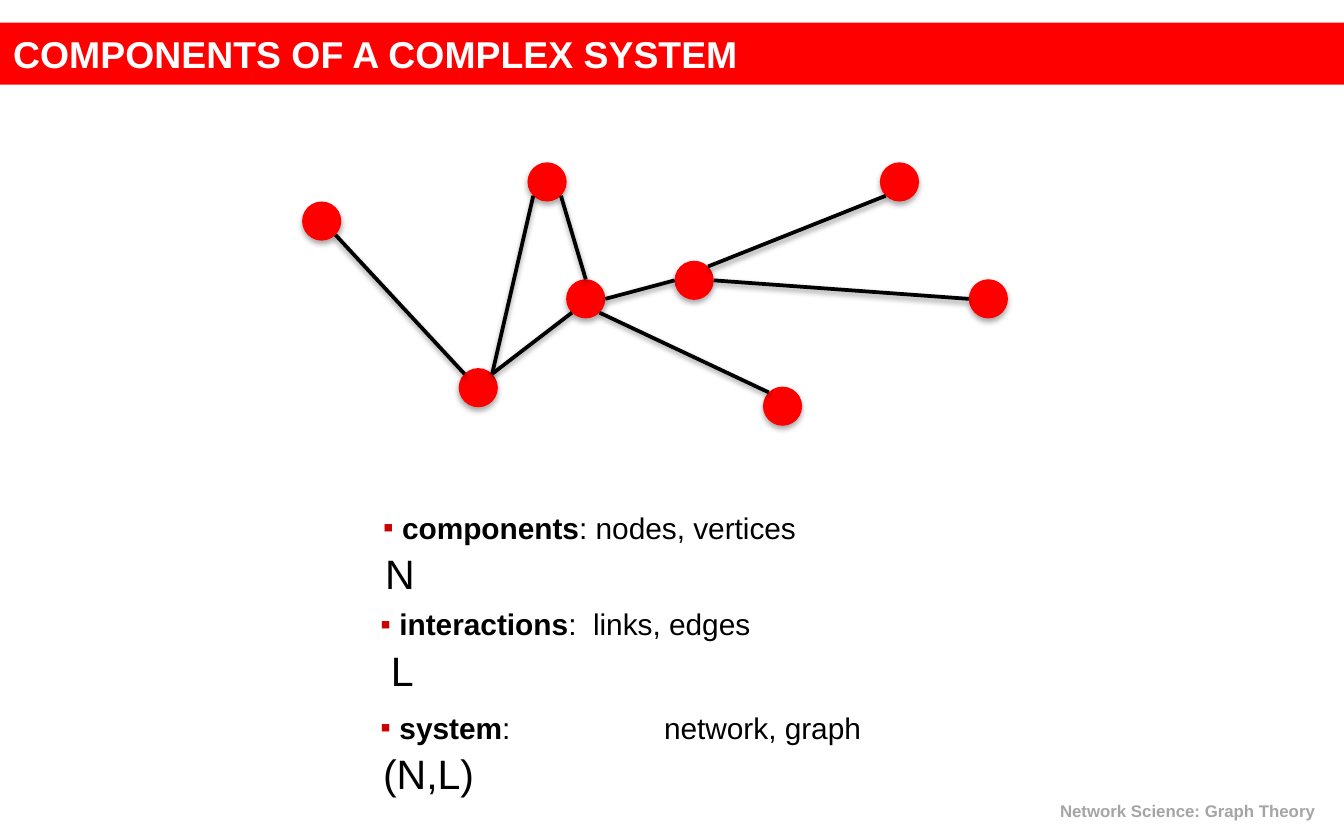
import math

from lxml import etree
from pptx import Presentation
from pptx import util as u
from pptx.dml.color import RGBColor
from pptx.enum import shapes, text
from pptx.oxml.ns import qn

FONT = "Arial"
RED = "FF0000"
BLACK = "000000"
WHITE = "FFFFFF"
DIAMETER = 0.74

# Centres of the graph's nodes, in cm
NODES = {
    "A": (6.08, 4.18),
    "B": (9.04, 7.33),
    "C": (10.34, 3.44),
    "D": (11.07, 5.65),
    "E": (13.12, 5.30),
    "F": (17.00, 3.44),
    "G": (18.68, 5.65),
    "H": (14.79, 7.68),
}

# Start node, clockwise angle on its rim, end node, angle on its rim
LINKS = [
    ("A", 45, "B", 225),
    ("B", 315, "D", 135),
    ("C", 45, "D", 270),
    ("C", 135, "B", 315),
    ("D", 0, "E", 180),
    ("E", 315, "F", 135),
    ("D", 45, "H", 225),
    ("E", 0, "G", 180),
]

# Left, top, term, its meaning, symbol, indent of the symbol, in cm
TERMS = [
    (7.24, 9.63, "components", ": nodes, vertices", "N", 0.04),
    (7.19, 11.46, "interactions", ":  links, edges", "L", 0.2),
    (7.19, 13.41, "system", ":\tnetwork, graph", "(N,L)", 0.05),
]


def color(value):
    return RGBColor.from_string(value)


def style(span, size, value, bold=False):
    span.font.name = FONT
    span.font.size = u.Pt(size)
    span.font.bold = bold
    span.font.color.rgb = color(value)


def add_child(parent, tag, **attributes):
    return etree.SubElement(parent, qn(tag), {k: str(v) for k, v in attributes.items()})


def add_shadow(shape, opacity, distance):
    """Give a shape or connector a soft shadow straight below it."""
    effects = add_child(shape._element.spPr, "a:effectLst")
    shadow = add_child(effects, "a:outerShdw", blurRad=u.Pt(3.1), dist=u.Pt(distance),
                       dir=5400000, rotWithShape=0)
    tint = add_child(shadow, "a:srgbClr", val=BLACK)
    add_child(tint, "a:alpha", val=opacity * 1000)


def add_title(page, title):
    bar = page.shapes.add_shape(shapes.MSO_SHAPE.RECTANGLE, 0, u.Cm(0.43), u.Cm(25.4), u.Cm(1.17))
    bar.shadow.inherit = False
    bar.fill.solid()
    bar.fill.fore_color.rgb = color(RED)
    bar.line.fill.background()
    frame = bar.text_frame
    frame.text = title
    frame.vertical_anchor = text.MSO_ANCHOR.MIDDLE
    frame.paragraphs[0].alignment = text.PP_ALIGN.LEFT
    style(frame.paragraphs[0].runs[0], 20, WHITE, bold=True)


def add_footer(page, footer):
    box = page.shapes.add_textbox(u.Cm(17.98), u.Cm(15.01), u.Cm(7.12), u.Cm(0.64))
    frame = box.text_frame
    frame.word_wrap = True
    frame.text = footer
    frame.paragraphs[0].alignment = text.PP_ALIGN.RIGHT
    style(frame.paragraphs[0].runs[0], 9, "A5A5A5", bold=True)


def add_node(group, center):
    left, top = (u.Cm(value - DIAMETER / 2) for value in center)
    node = group.shapes.add_shape(shapes.MSO_SHAPE.OVAL, left, top, u.Cm(DIAMETER), u.Cm(DIAMETER))
    node.fill.solid()
    node.fill.fore_color.rgb = color(RED)
    node.line.fill.background()
    add_shadow(node, 35, 1.8)


def rim_point(name, angle):
    x, y = NODES[name]
    turn = math.radians(angle)
    return (u.Cm(x + DIAMETER / 2 * math.cos(turn)),
            u.Cm(y + DIAMETER / 2 * math.sin(turn)))


def add_link(group, start, start_angle, end, end_angle):
    link = group.shapes.add_connector(shapes.MSO_CONNECTOR.STRAIGHT,
                                      *rim_point(start, start_angle), *rim_point(end, end_angle))
    link.line.color.rgb = color(BLACK)
    link.line.width = u.Pt(2)
    add_shadow(link, 38, 1.6)


def add_bullet(para):
    """Add a hanging red square and one tab stop."""
    props = para._p.get_or_add_pPr()
    props.set("marL", str(u.Cm(0.36)))
    props.set("indent", str(-u.Cm(0.36)))
    add_child(add_child(props, "a:buClr"), "a:srgbClr", val="CC0000")
    add_child(props, "a:buFont", typeface=FONT)
    add_child(props, "a:buChar", char="▪")
    add_child(add_child(props, "a:tabLst"), "a:tab", pos=u.Cm(5.36), algn="l")


def add_term(page, left, top, term, meaning, symbol, indent):
    box = page.shapes.add_textbox(u.Cm(left), u.Cm(top), u.Cm(11.5), u.Cm(1.6))
    frame = box.text_frame
    frame.word_wrap = True
    frame.margin_left = frame.margin_right = frame.margin_top = frame.margin_bottom = 0
    para = frame.paragraphs[0]
    add_bullet(para)
    for words, bold in ((term, True), (meaning, False)):
        span = para.add_run()
        span.text = words
        style(span, 16, BLACK, bold)
    para = frame.add_paragraph()
    para.text = symbol
    para.space_before = u.Pt(2)
    para._p.get_or_add_pPr().set("marL", str(u.Cm(indent)))
    style(para.runs[0], 22, BLACK)


def main():
    deck = Presentation()
    deck.slide_width, deck.slide_height = u.Cm(25.4), u.Cm(15.88)
    page = deck.slides.add_slide(deck.slide_layouts[6])
    add_title(page, "COMPONENTS OF A COMPLEX SYSTEM")
    add_footer(page, "Network Science: Graph Theory")
    nodes = page.shapes.add_group_shape()
    for center in NODES.values():
        add_node(nodes, center)
    links = page.shapes.add_group_shape()
    for link in LINKS:
        add_link(links, *link)
    for term in TERMS:
        add_term(page, *term)
    deck.save("out.pptx")


if __name__ == "__main__":
    main()
